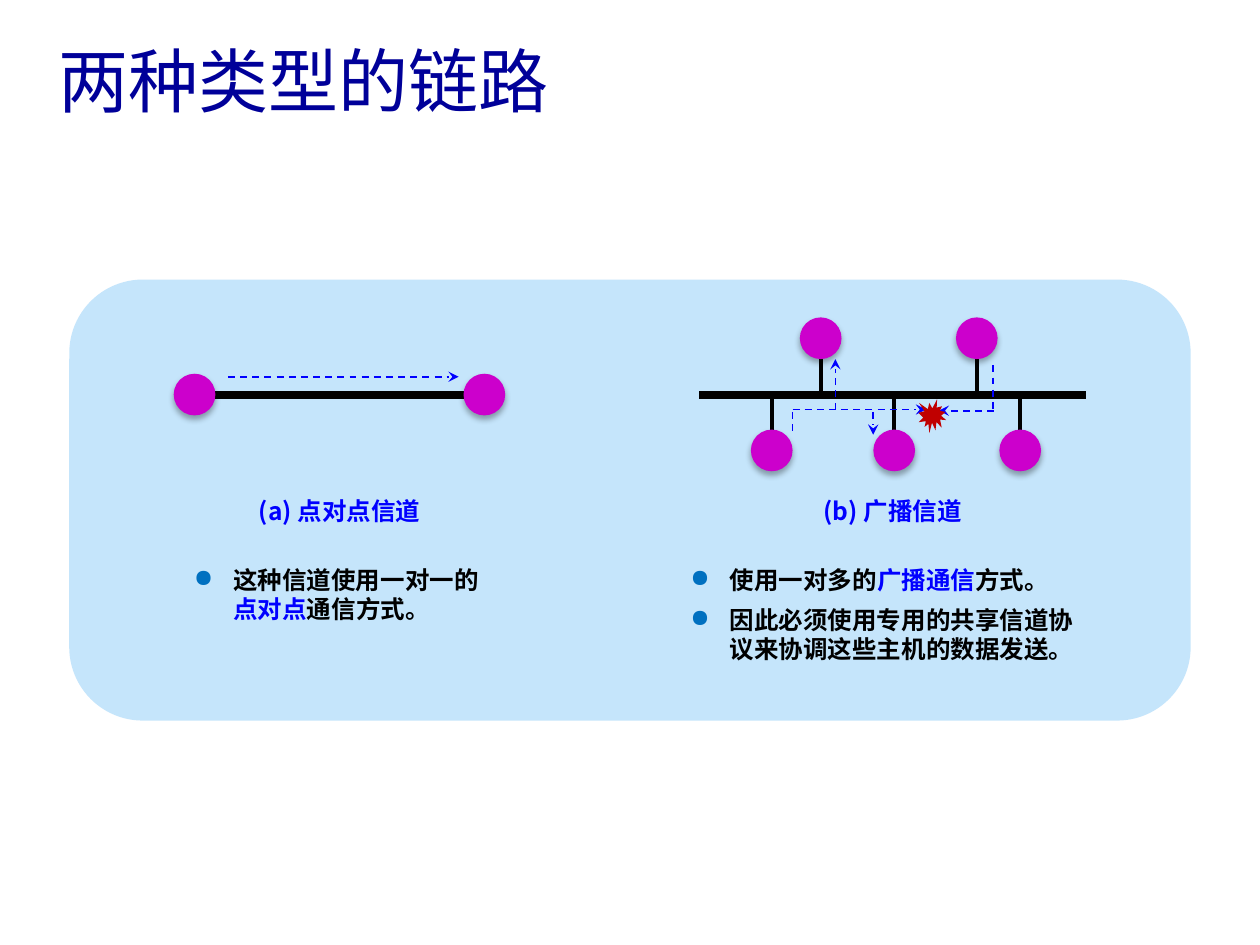
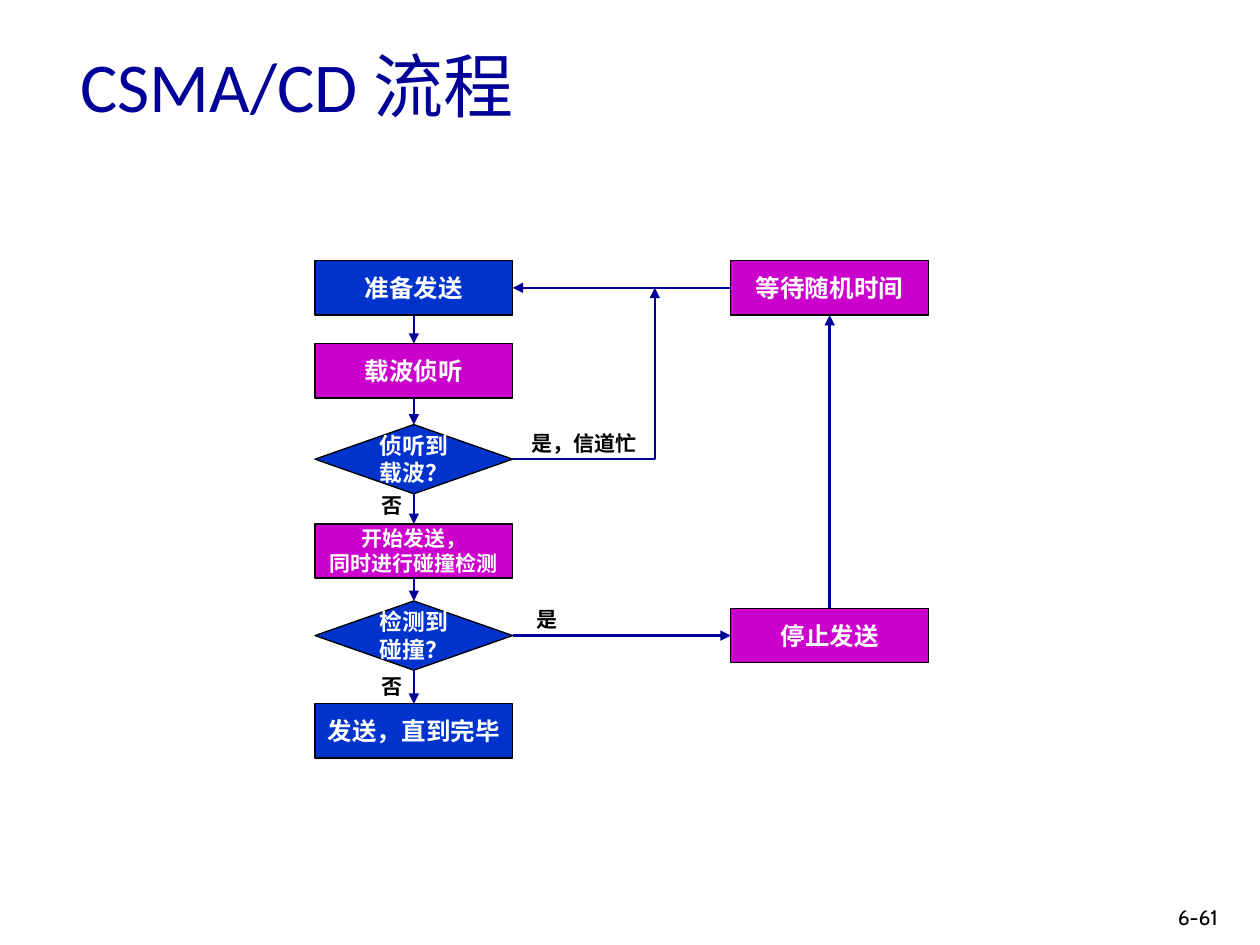
from itertools import pairwise

from lxml import etree
from pptx import Presentation
from pptx.dml.color import RGBColor
from pptx.enum import dml, shapes, text
from pptx.oxml.ns import qn
from pptx.util import Pt

NAVY = RGBColor(0x00, 0x00, 0x99)
BLUE = RGBColor(0x00, 0x00, 0xFF)
ROYAL = RGBColor(0x00, 0x33, 0xCC)
MAGENTA = RGBColor(0xCC, 0x00, 0xCC)
PALE = RGBColor(0xC5, 0xE5, 0xFB)
RED = RGBColor(0xC0, 0x00, 0x00)
BLACK = RGBColor(0x00, 0x00, 0x00)
WHITE = RGBColor(0xFF, 0xFF, 0xFF)
BULLET = "0070C0"
CJK = "Noto Sans CJK SC"
LINE_PITCH = 1.19
TOP, LEFT, BOTTOM, RIGHT = range(4)

# Slide 1: lengths in points
LINKS_TITLE = ("两种类型的链路", (26.6, 18, 612, 90))
PANEL = (39.6, 159.8, 640.8, 252)
CHANNELS = [
    ((103.7, 280, 180.7, 81.4), "(a) 点对点信道",
     [[("这种信道使用一对一的", BLACK), ("点对点", BLUE), ("通信方式。", BLACK)]]),
    ((387.4, 280, 245.5, 104.4), "(b) 广播信道",
     [[("使用一对多的", BLACK), ("广播通信", BLUE), ("方式。", BLACK)],
      [("因此必须使用专用的共享信道协议来协调这些主机的数据发送。", BLACK)]]),
]
WIRE_Y = 225.5
PAIR_X = (111.2, 276.8)
BUS_X = (399.6, 620.6)
HOSTS = [(469, 193.3), (558.2, 193.3), (441, 257.4), (511, 257.4), (583, 257.4)]
HOST_SIZE = 23.8
SIGNALS = [  # start, end, has arrowhead
    ((568, 234.7), (536.4, 234.7), True),
    ((567.4, 208.8), (567.4, 234.7), False),
    ((452.9, 234), (529.2, 234), True),
    ((477.4, 234), (477.4, 205.2), True),
    ((499, 235.4), (499, 248.4), True),
    ((452.9, 235.4), (452.9, 248.4), False),
    ((130.3, 215.3), (262.1, 215.3), True),
]
COLLISION = (524.9, 228.2, 15.8, 19.4)

# Slide 2
FLOW_TITLE = ("CSMA/CD 流程", (38.9, 20.9, 640.8, 90))
PAGE_NUMBER = ("6-61", (666, 513.4, 43.2, 21.6))
MAIN_X, SIDE_X, STEP_W, STEP_H, TEST_H = 180, 417.6, 113, 31, 39.6
RECT, DIAMOND = shapes.MSO_SHAPE.RECTANGLE, shapes.MSO_SHAPE.DIAMOND
STEPS = {  # name: (lines, left, top, outline, fill, text size)
    "ready": (["准备发送"], MAIN_X, 149, RECT, ROYAL, 14),
    "listen": (["载波侦听"], MAIN_X, 196.4, RECT, MAGENTA, 14),
    "busy": (["侦听到载波？"], MAIN_X, 242.6, DIAMOND, ROYAL, 13),
    "send": (["开始发送，", "同时进行碰撞检测"], MAIN_X, 299.4, RECT, MAGENTA, 12),
    "collided": (["检测到碰撞？"], MAIN_X, 343.4, DIAMOND, ROYAL, 13),
    "finish": (["发送，直到完毕"], MAIN_X, 402.2, RECT, ROYAL, 14),
    "stop": (["停止发送"], SIDE_X, 347.7, RECT, MAGENTA, 14),
    "wait": (["等待随机时间"], SIDE_X, 149, RECT, MAGENTA, 14),
}
MAIN_PATH = ["ready", "listen", "busy", "send", "collided", "finish"]
FLOWS = [(a, BOTTOM, b, TOP) for a, b in pairwise(MAIN_PATH)] + [
    ("collided", RIGHT, "stop", LEFT),
    ("stop", TOP, "wait", BOTTOM),
    ("wait", LEFT, "ready", RIGHT),
]
BUSY_TURN_X = 374.2
ANSWERS = [
    ("是，信道忙", (296.6, 242.6, 74.9, 21.6)),
    ("是", (299.5, 343.4, 26.6, 21.6)),
    ("否", (211, 381.6, 26.6, 21.6)),
    ("否", (211, 277.9, 26.6, 21.6)),
]


def points(values):
    return [Pt(value) for value in values]


def write(paragraph, content, size=14, color=BLACK, font=CJK, bold=True,
          align=None, before=0, bullet=False):
    """Fill a paragraph from a string or from (string, colour) runs."""
    if bullet:
        ppr = paragraph._p.get_or_add_pPr()
        ppr.set("marL", str(Pt(22.5)))
        ppr.set("indent", str(-Pt(22.5)))
        tint = etree.SubElement(ppr, qn("a:buClr"))
        etree.SubElement(tint, qn("a:srgbClr"), val=BULLET)
        etree.SubElement(ppr, qn("a:buChar"), char="●")
    paragraph.alignment = align
    paragraph.line_spacing = Pt(round(size * LINE_PITCH, 1))
    if before:
        paragraph.space_before = Pt(before)
    runs = [(content, color)] if isinstance(content, str) else content
    for words, tone in runs:
        run = paragraph.add_run()
        run.text = words
        run.font.size, run.font.bold, run.font.name = Pt(size), bold, font
        run.font.color.rgb = tone
        etree.SubElement(run._r.get_or_add_rPr(), qn("a:ea"), typeface=CJK)


def add_text(slide, content, box, wrap=True, **style):
    frame = slide.shapes.add_textbox(*points(box)).text_frame
    frame.word_wrap = wrap
    write(frame.paragraphs[0], content, **style)
    return frame


def add_title(slide, content, box):
    add_text(slide, content, box, size=40, color=NAVY, font="Calibri", bold=False)


def add_solid(slide, outline, box, fill, border=None):
    solid = slide.shapes.add_shape(outline, *points(box))
    solid.shadow.inherit = False
    solid.fill.solid()
    solid.fill.fore_color.rgb = fill
    if border is None:
        solid.line.fill.background()
    else:
        solid.line.color.rgb = border
        solid.line.width = Pt(0.75)
    return solid


def add_line(slide, start, end, color, width, head=None, dashed=False,
             kind=shapes.MSO_CONNECTOR.STRAIGHT):
    line = slide.shapes.add_connector(kind, *points((*start, *end)))
    line.line.color.rgb = color
    line.line.width = Pt(width)
    if dashed:
        line.line.dash_style = dml.MSO_LINE.DASH
    if head:
        etree.SubElement(line.line._get_or_add_ln(), qn("a:tailEnd"), type=head)
    etree.SubElement(line._element.spPr, qn("a:effectLst"))
    return line


def add_host(slide, x, y):
    half = HOST_SIZE / 2
    host = add_solid(slide, shapes.MSO_SHAPE.OVAL,
                     (x - half, y - half, HOST_SIZE, HOST_SIZE), MAGENTA)
    effects = host._element.spPr.find(qn("a:effectLst"))
    shadow = etree.SubElement(effects, qn("a:outerShdw"), blurRad=str(Pt(3.5)),
                              dist=str(Pt(2.2)), dir="5400000", rotWithShape="0")
    tint = etree.SubElement(shadow, qn("a:srgbClr"), val="000000")
    etree.SubElement(tint, qn("a:alpha"), val="32000")


def build_links(slide):
    add_solid(slide, shapes.MSO_SHAPE.ROUNDED_RECTANGLE, PANEL, PALE)
    for left, right in (PAIR_X, BUS_X):
        add_line(slide, (left, WIRE_Y), (right, WIRE_Y), BLACK, 4.5)
    for x, y in HOSTS:
        add_line(slide, (x, WIRE_Y), (x, y), BLACK, 2.25)
    for x, y in HOSTS + [(x, WIRE_Y) for x in PAIR_X]:
        add_host(slide, x, y)
    for box, caption, remarks in CHANNELS:
        frame = add_text(slide, caption, box, color=BLUE, align=text.PP_ALIGN.CENTER)
        for index, remark in enumerate(remarks):
            write(frame.add_paragraph(), remark, bullet=True,
                  before=6 if index else 22.7)
    for start, end, arrow in SIGNALS:
        add_line(slide, start, end, BLUE, 1, dashed=True,
                 head="stealth" if arrow else None)
    add_solid(slide, shapes.MSO_SHAPE.EXPLOSION1, COLLISION, RED)
    add_title(slide, *LINKS_TITLE)


def build_flow(slide):
    placed = {}
    for name, (lines, left, top, outline, fill, size) in STEPS.items():
        height = TEST_H if outline == DIAMOND else STEP_H
        step = add_solid(slide, outline, (left, top, STEP_W, height), fill, BLACK)
        frame = step.text_frame
        frame.word_wrap = True
        frame.vertical_anchor = text.MSO_ANCHOR.MIDDLE
        for index, line in enumerate(lines):
            paragraph = frame.add_paragraph() if index else frame.paragraphs[0]
            write(paragraph, line, size=size, color=WHITE, align=text.PP_ALIGN.CENTER)
        placed[name] = step
    for source, exit_side, target, entry_side in FLOWS:
        flow = add_line(slide, (0, 0), (0, 0), NAVY, 1.5, head="triangle")
        flow.begin_connect(placed[source], exit_side)
        flow.end_connect(placed[target], entry_side)

    busy_y = STEPS["busy"][2] + TEST_H / 2
    ready_y = STEPS["ready"][2] + STEP_H / 2
    retry = add_line(slide, (MAIN_X + STEP_W, busy_y), (BUSY_TURN_X, ready_y), NAVY,
                     1.5, head="triangle", kind=shapes.MSO_CONNECTOR.ELBOW)
    retry._element.spPr.find(qn("a:prstGeom")).set("prst", "bentConnector2")

    for answer, box in ANSWERS:
        add_text(slide, answer, box, wrap=False, size=12)
    add_title(slide, *FLOW_TITLE)
    add_text(slide, *PAGE_NUMBER, size=12, font="Cabin", bold=False)


def main():
    deck = Presentation()
    deck.slide_width, deck.slide_height = Pt(720), Pt(540)
    for build in (build_links, build_flow):
        build(deck.slides.add_slide(deck.slide_layouts[6]))
    deck.save("out.pptx")


if __name__ == "__main__":
    main()
